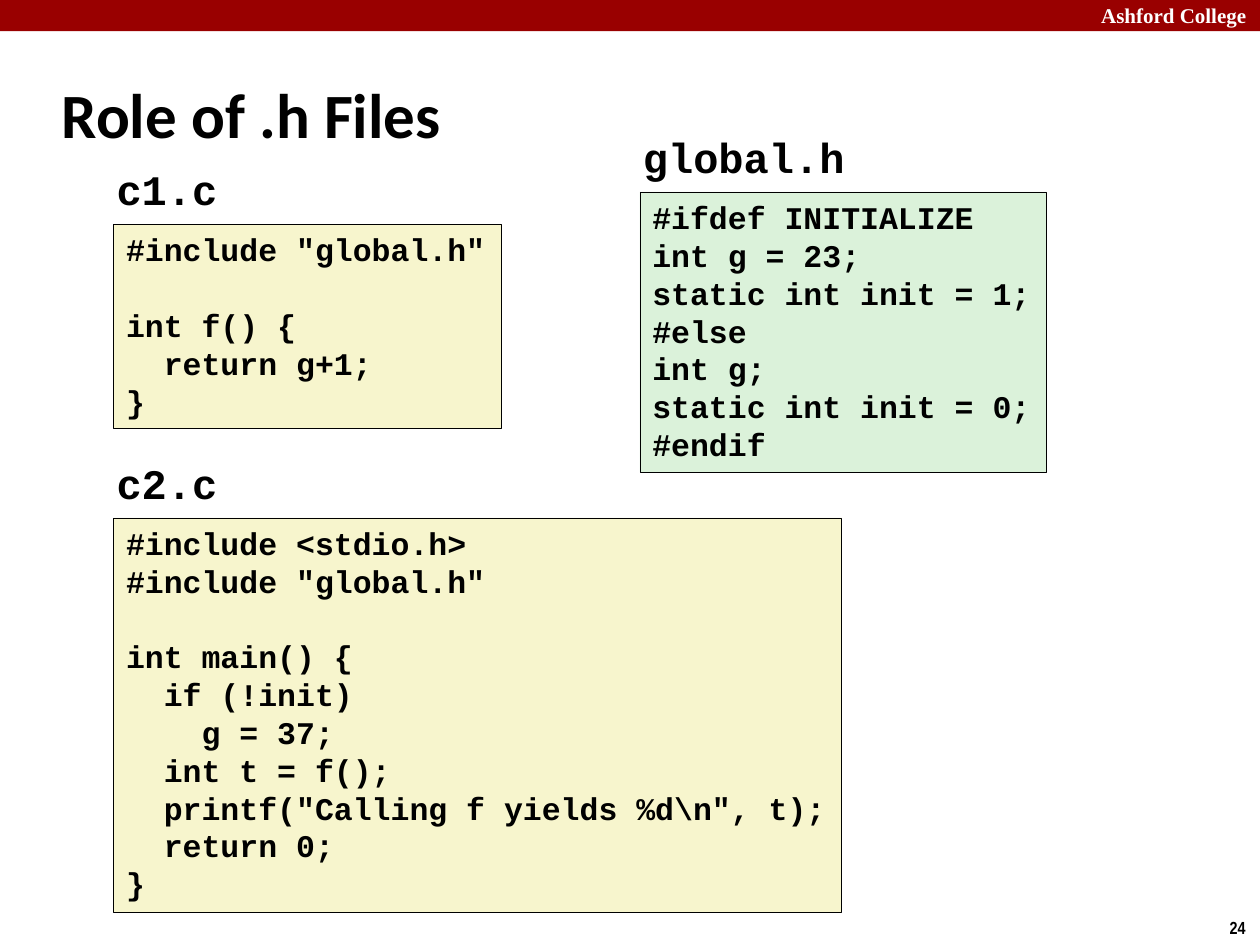
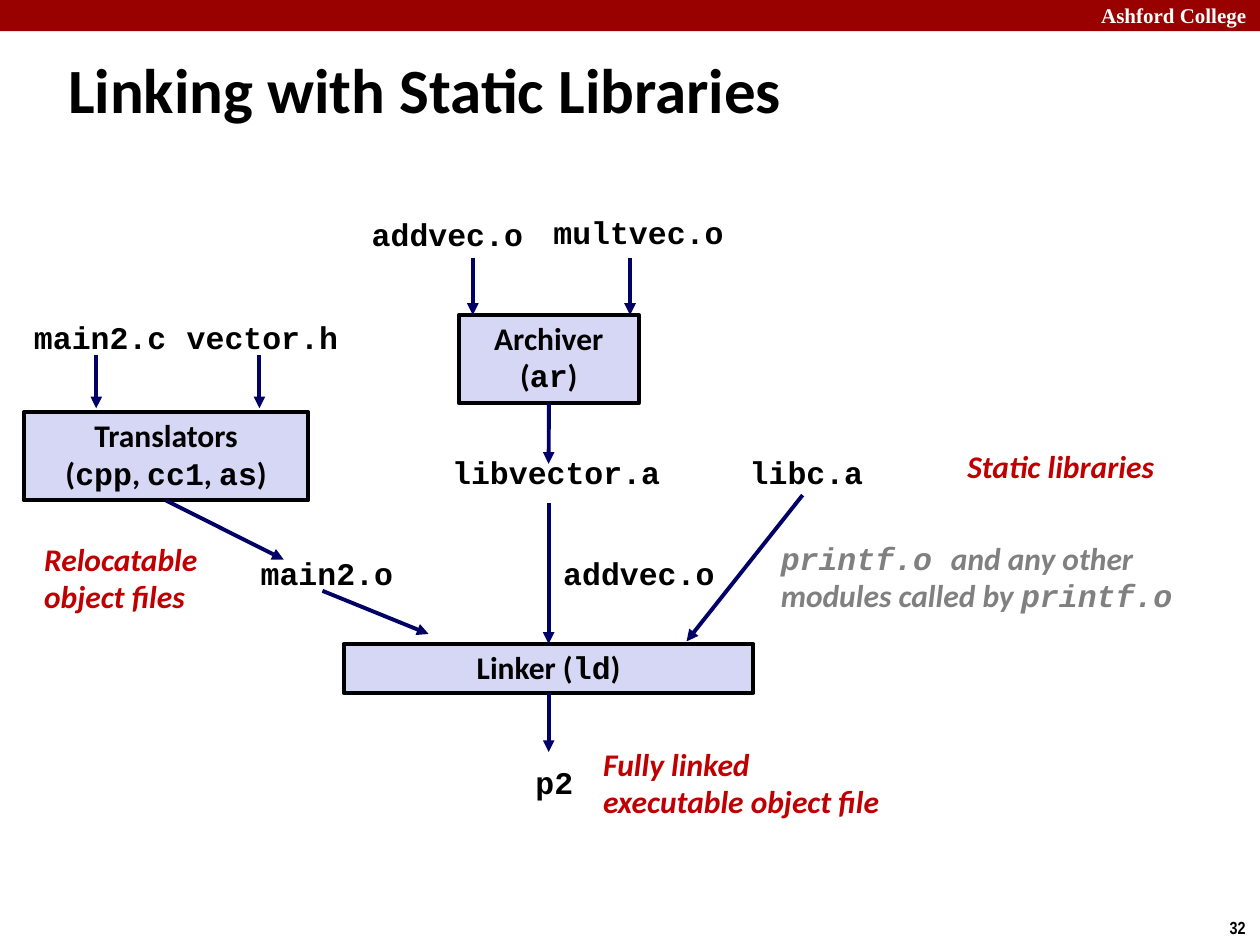
from lxml import etree
from pptx import Presentation
from pptx.dml.color import RGBColor
from pptx.enum.shapes import MSO_CONNECTOR, MSO_SHAPE
from pptx.enum.text import MSO_ANCHOR, PP_ALIGN
from pptx.oxml.ns import qn
from pptx.util import Cm, Pt

RECTANGLE = MSO_SHAPE.RECTANGLE
STRAIGHT = MSO_CONNECTOR.STRAIGHT
TOP, MIDDLE = MSO_ANCHOR.TOP, MSO_ANCHOR.MIDDLE
LEFT, CENTER = PP_ALIGN.LEFT, PP_ALIGN.CENTER
TOP_SIDE, BOTTOM_SIDE = 0, 2

BLACK, WHITE = "000000", "FFFFFF"
BAND_RED, NOTE_RED, GREY = "990000", "C00000", "808080"
SOURCE_YELLOW, HEADER_GREEN = "F7F5CD", "DBF2DA"
STEP_LILAC, ARROW_NAVY = "D6D6F5", "000066"

SANS, MONO, SERIF, NARROW = "Calibri", "Courier New", "Times New Roman", "Arial Narrow"
CHAR_18, CHAR_24 = 0.381, 0.508  # width in cm of one MONO character

C1_CODE = """#include "global.h"

int f() {
  return g+1;
}"""

GLOBAL_CODE = """#ifdef INITIALIZE
int g = 23;
static int init = 1;
#else
int g;
static int init = 0;
#endif"""

C2_CODE = r"""#include <stdio.h>
#include "global.h"

int main() {
  if (!init)
    g = 37;
  int t = f();
  printf("Calling f yields %d\n", t);
  return 0;
}"""


def rgb(hex_color):
    return RGBColor.from_string(hex_color)


def cm_box(*lengths):
    return [Cm(length) for length in lengths]


def format_run(run, size, font, color=BLACK, italic=False):
    run.font.size = Pt(size)
    run.font.name = font
    run.font.color.rgb = rgb(color)
    run.font.bold = True
    run.font.italic = italic


class Deck:
    def __init__(self):
        self.prs = Presentation()
        self.prs.slide_width, self.prs.slide_height = Cm(25.4), Cm(19.05)
        self.layout = self.prs.slide_layouts[5]
        for placeholder in list(self.layout.placeholders)[1:]:
            self.layout.shapes.element.remove(placeholder.element)
        self.slide = None

    def new_slide(self, title, title_box, number):
        self.slide = self.prs.slides.add_slide(self.layout)
        if len(self.prs.slides) == 1:
            self.put_band_on_layout()
        heading = self.slide.shapes.title
        heading.left, heading.top, heading.width, heading.height = cm_box(*title_box)
        frame = heading.text_frame
        frame.vertical_anchor = MIDDLE
        self.fill_text(frame, title, 36, SANS)
        self.text(number, (24.54, 18.36, 0.86, 0.69), 10, NARROW)

    def put_band_on_layout(self):
        """Draw the band and its label, then move both to the shared layout."""
        band = self.rectangle((0, 0, 25.4, 0.63), BAND_RED)
        label = self.text("Ashford College", (21.95, -0.08, 3.63, 0.76), 12, SERIF, WHITE)
        for index, part in enumerate((band, label), start=2):
            self.layout.shapes.element.insert(index, part.element)

    def fill_text(self, frame, text, size, font, color=BLACK):
        frame.text = text
        for paragraph in frame.paragraphs:
            paragraph.alignment = LEFT
            for run in paragraph.runs:
                format_run(run, size, font, color)

    def fill_mixed_text(self, frame, text, color=BLACK, italic=False, align=LEFT):
        """Set lines in SANS, with the parts between backticks in MONO."""
        for index, line in enumerate(text.split("\n")):
            paragraph = frame.add_paragraph() if index else frame.paragraphs[0]
            paragraph.alignment = align
            paragraph.line_spacing = 0.94 if line.startswith("`") else 0.98
            for part, words in enumerate(line.split("`")):
                if words:
                    run = paragraph.add_run()
                    run.text = words
                    format_run(run, 18, MONO if part % 2 else SANS, color, italic)

    def rectangle(self, box, fill=None, line=None, weight=0.25):
        shape = self.slide.shapes.add_shape(RECTANGLE, *cm_box(*box))
        shape.shadow.inherit = False
        if fill:
            shape.fill.solid()
            shape.fill.fore_color.rgb = rgb(fill)
        else:
            shape.fill.background()
        if line:
            shape.line.color.rgb = rgb(line)
            shape.line.width = Pt(weight)
        else:
            shape.line.fill.background()
        shape.text_frame.vertical_anchor = TOP
        return shape

    def empty_text(self, box):
        text_box = self.slide.shapes.add_textbox(*cm_box(*box))
        text_box.text_frame.word_wrap = False
        return text_box

    def text(self, words, box, size, font, color=BLACK):
        text_box = self.empty_text(box)
        self.fill_text(text_box.text_frame, words, size, font, color)
        return text_box

    def source_file(self, name, code, left, top, fill):
        """Draw a listing sized to its code, with the file name above it."""
        lines = code.split("\n")
        width = max(map(len, lines)) * CHAR_18 + 0.58
        height = len(lines) * 0.767 + 0.28
        listing = self.rectangle((left, top, width, height), fill, BLACK)
        name_box = (left - 0.19, top - 1.34, len(name) * CHAR_24 + 0.54, 1.27)
        label = self.rectangle(name_box, line=WHITE)
        for shape, words, size in ((listing, code, 18), (label, name, 24)):
            shape.text_frame.word_wrap = False
            self.fill_text(shape.text_frame, words, size, MONO)

    def step(self, text, *box):
        shape = self.rectangle(box, STEP_LILAC, BLACK, 2.25)
        shape.text_frame.word_wrap = True
        self.fill_mixed_text(shape.text_frame, text, align=CENTER)
        return shape

    def file_name(self, name, left, top):
        label = self.empty_text((left, top, len(name) * CHAR_18 + 0.51, 0.99))
        self.fill_mixed_text(label.text_frame, f"`{name}`", align=CENTER)

    def note(self, text, box, color=NOTE_RED):
        self.fill_mixed_text(self.empty_text(box).text_frame, text, color, italic=True)

    def arrow(self, start, end, source=None, target=None):
        """Draw an arrow, joined to the bottom of source or the top of target."""
        arrow = self.slide.shapes.add_connector(STRAIGHT, *cm_box(*start, *end))
        arrow.line.color.rgb = rgb(ARROW_NAVY)
        arrow.line.width = Pt(2.25)
        properties = arrow.element.spPr
        etree.SubElement(properties.find(qn("a:ln")), qn("a:tailEnd"), type="triangle")
        etree.SubElement(properties, qn("a:effectLst"))
        if source:
            arrow.begin_connect(source, BOTTOM_SIDE)
        if target:
            arrow.end_connect(target, TOP_SIDE)


def header_files_slide(deck):
    deck.new_slide("Role of .h Files", (0.99, 1.22, 21.08, 2.11), "24")
    deck.source_file("c1.c", C1_CODE, 2.29, 4.52, SOURCE_YELLOW)
    deck.source_file("global.h", GLOBAL_CODE, 12.9, 3.87, HEADER_GREEN)
    deck.source_file("c2.c", C2_CODE, 2.29, 10.44, SOURCE_YELLOW)


def static_libraries_slide(deck):
    deck.new_slide("Linking with Static Libraries", (1.12, 0.69, 24.21, 2.18), "32")

    translators = deck.step("Translators\n(`cpp`, `cc1`, `as`)", 0.48, 8.31, 5.74, 1.78)
    archiver = deck.step("Archiver\n(`ar`)", 9.25, 6.35, 3.63, 1.78)
    linker = deck.step("Linker (`ld`)", 6.93, 12.98, 8.26, 0.99)

    for name, left, top in (
        ("main2.c", 0.43, 6.35),
        ("vector.h", 3.51, 6.35),
        ("addvec.o", 7.24, 4.27),
        ("multvec.o", 10.9, 4.24),
        ("libvector.a", 8.86, 9.07),
        ("libc.a", 14.86, 9.07),
        ("main2.o", 5, 11.1),
        ("addvec.o", 11.1, 11.1),
        ("p2", 10.54, 15.32),
    ):
        deck.file_name(name, left, top)

    for x in (1.94, 5.23):
        deck.arrow((x, 7.16), (x, 8.23))
    for x in (9.53, 12.7):
        deck.arrow((x, 5.21), (x, 6.35))
    axis = 11.06
    deck.arrow((axis, 8.13), (axis, 9.35), source=archiver)
    deck.arrow((axis, 10.13), (axis, 12.98), target=linker)
    deck.arrow((axis, 13.97), (axis, 15.16), source=linker)
    deck.arrow((3.35, 10.09), (5.72, 11.28), source=translators)
    deck.arrow((6.5, 11.91), (8.64, 12.78))
    deck.arrow((16.18, 9.98), (13.84, 12.93))

    deck.note("Static libraries", (19.25, 8.92, 4.32, 1.02))
    deck.note("Relocatable\nobject files", (0.64, 10.8, 3.63, 1.78))
    deck.note("Fully linked\nexecutable object file", (11.91, 14.94, 6.15, 1.78))
    deck.note("`printf.o `and any other\nmodules called by `printf.o`",
              (15.49, 10.8, 8.84, 1.75), GREY)


def main():
    deck = Deck()
    header_files_slide(deck)
    static_libraries_slide(deck)
    deck.prs.save("out.pptx")


if __name__ == "__main__":
    main()
